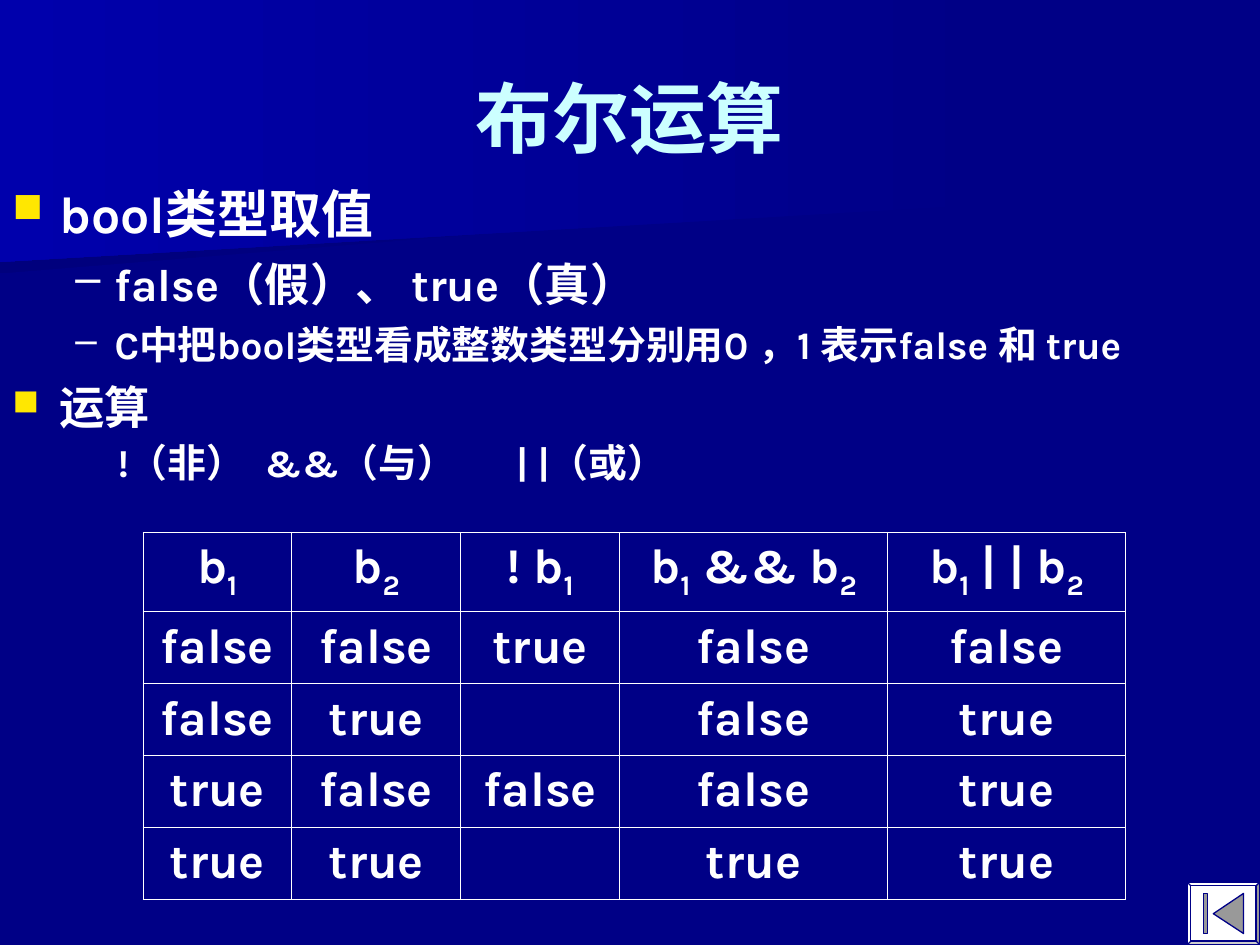
from itertools import groupby

from lxml.etree import SubElement as Sub
from pptx import Presentation
from pptx.dml.color import RGBColor
from pptx.enum.shapes import MSO_SHAPE as Shape
from pptx.enum.text import MSO_ANCHOR as Anchor, PP_ALIGN as Align
from pptx.oxml.ns import qn
from pptx.util import Cm, Pt

NAVY, WHITE, ICE, GOLD, GREY = "000086", "FFFFFF", "CCFFFF", "FFE701", "999999"
MARKS = {"■": (0.95, -0.95, GOLD, 80), "–": (2.06, -0.79, WHITE, 100)}
LINES = [
    ("■", 29.6, 8, "bool类型取值"),
    ("–", 25.9, 7, "false（假）、 true（真）"),
    ("–", 22.2, 6, "C中把bool类型看成整数类型分别用0 ，1 表示false 和 true"),
    ("■", 25.9, 7, "运算"),
    ("", 22.2, 0, "!（非）\t&&（与）\t| |（或）"),
]
ROWS = [
    ["b1", "b2", "! b1", "b1 && b2", "b1 | | b2"],
    ["false", "false", "true", "false", "false"],
    ["false", "true", "", "false", "true"],
    ["true", "false", "false", "false", "true"],
    ["true", "true", "", "true", "true"],
]
WIDTHS = [3, 3.41, 3.2, 5.4, 4.8]
HEIGHTS = [1.59] + [1.45] * 4


def paint(color, code):
    color.rgb = RGBColor.from_string(code)


def style(item, **values):
    for name, value in values.items():
        setattr(item, name, value)


def write(par, text, size, code=WHITE):
    run = par.add_run()
    run.text = text
    style(run.font, name="Karla", size=Pt(size), bold=True)
    paint(run.font.color, code)
    return run


def frame(slide, box):
    text = slide.shapes.add_textbox(*map(Cm, box)).text_frame
    text.word_wrap = True
    return text


def outline(slide, box, points):
    left, top = box[:2]
    spots = [(Cm(left + x), Cm(top + y)) for x, y in points]
    build = slide.shapes.build_freeform(*spots[0])
    build.add_line_segments(spots[1:])
    shape = build.convert_to_shape()
    shape.shadow.inherit = False
    return shape


def add_wedge(slide, box, drop, edge):
    wide, high = box[2:]
    points = [(0, 0), (wide, 0), (wide, drop), (0, high)]
    shape = outline(slide, box, points)
    shape.line.fill.background()
    shape.fill.gradient()
    shape.fill.gradient_angle = 180
    for stop, code in zip(shape.fill.gradient_stops, (NAVY, edge)):
        paint(stop.color, code)


def add_title(slide, box):
    text = frame(slide, box)
    text.vertical_anchor = Anchor.MIDDLE
    par = text.paragraphs[0]
    par.alignment = Align.CENTER
    write(par, "布尔运算", 44, ICE)


def add_mark(par, mark):
    left, hang, code, size = MARKS[mark]
    prop = par._p.get_or_add_pPr()
    prop.set("marL", str(Cm(left)))
    prop.set("indent", str(Cm(hang)))
    Sub(Sub(prop, qn("a:buClr")), qn("a:srgbClr"), val=code)
    Sub(prop, qn("a:buSzPct"), val=str(size * 1000))
    Sub(prop, qn("a:buChar"), char=mark)


def add_tabs(par, start, stops):
    prop = par._p.get_or_add_pPr()
    prop.set("marL", "0")
    prop.set("indent", str(Cm(start)))
    tabs = Sub(prop, qn("a:tabLst"))
    for stop in stops:
        Sub(tabs, qn("a:tab"), pos=str(Cm(stop)), algn="l")


def add_body(slide, box):
    text = frame(slide, box)
    for num, (mark, size, gap, words) in enumerate(LINES):
        par = text.add_paragraph() if num else text.paragraphs[0]
        if mark:
            add_mark(par, mark)
        else:
            add_tabs(par, 2.12, (6.4, 12.2))
            par.line_spacing = 1.1
        if num and gap:
            par.space_before = Pt(gap)
        write(par, words, size)


def add_rule(cell):
    prop = cell._tc.get_or_add_tcPr()
    for side in ("lnL", "lnR", "lnT", "lnB"):
        line = Sub(prop, qn("a:" + side), w=str(Pt(0.45)))
        Sub(Sub(line, qn("a:solidFill")), qn("a:srgbClr"), val=WHITE)


def add_truth(slide, box):
    shape = slide.shapes.add_table(len(ROWS), len(WIDTHS), *map(Cm, box))
    table = shape.table
    style(table, first_row=False, horz_banding=False)
    for col, wide in zip(table.columns, WIDTHS):
        col.width = Cm(wide)
    for row, high, words in zip(table.rows, HEIGHTS, ROWS):
        row.height = Cm(high)
        for cell, word in zip(row.cells, words):
            add_rule(cell)
            cell.fill.background()
            par = cell.text_frame.paragraphs[0]
            par.alignment = Align.CENTER
            for low, part in groupby(word, str.isdigit):
                run = write(par, "".join(part), 28)
                if low:
                    run.font._element.set("baseline", "-25000")


def add_button(slide, box):
    base = slide.shapes.add_shape(Shape.BEVEL, *map(Cm, box))
    base.adjustments[0] = 0.06
    base.shadow.inherit = False
    high, mid, low = 0.23, 0.64, 1.04
    bar = [(0.33, high), (0.41, high), (0.41, low), (0.33, low)]
    arrow = [(0.53, mid), (1.14, high), (1.14, low)]
    icons = [outline(slide, box, points) for points in (bar, arrow)]
    for shape, code in zip([base] + icons, (WHITE, GREY, GREY)):
        shape.fill.solid()
        paint(shape.fill.fore_color, code)
        paint(shape.line.color, NAVY)
        shape.line.width = Pt(0.75)


def main():
    deck = Presentation()
    style(deck, slide_width=Cm(25.4), slide_height=Cm(19.05))
    slide = deck.slides.add_slide(deck.slide_layouts[6])
    back = slide.background.fill
    back.solid()
    paint(back.fore_color, NAVY)
    add_wedge(slide, (0, 2.57, 19.79, 2.94), 1.32, "00007D")
    add_wedge(slide, (0, 0, 20.12, 5.28), 4.11, "0000AC")
    add_title(slide, (1.27, 0.76, 22.86, 3.18))
    add_body(slide, (0, 3.53, 25.4, 7.21))
    add_truth(slide, (2.88, 10.73, sum(WIDTHS), sum(HEIGHTS)))
    add_button(slide, (23.93, 17.78, 1.47, 1.27))
    deck.save("out.pptx")


if __name__ == "__main__":
    main()
